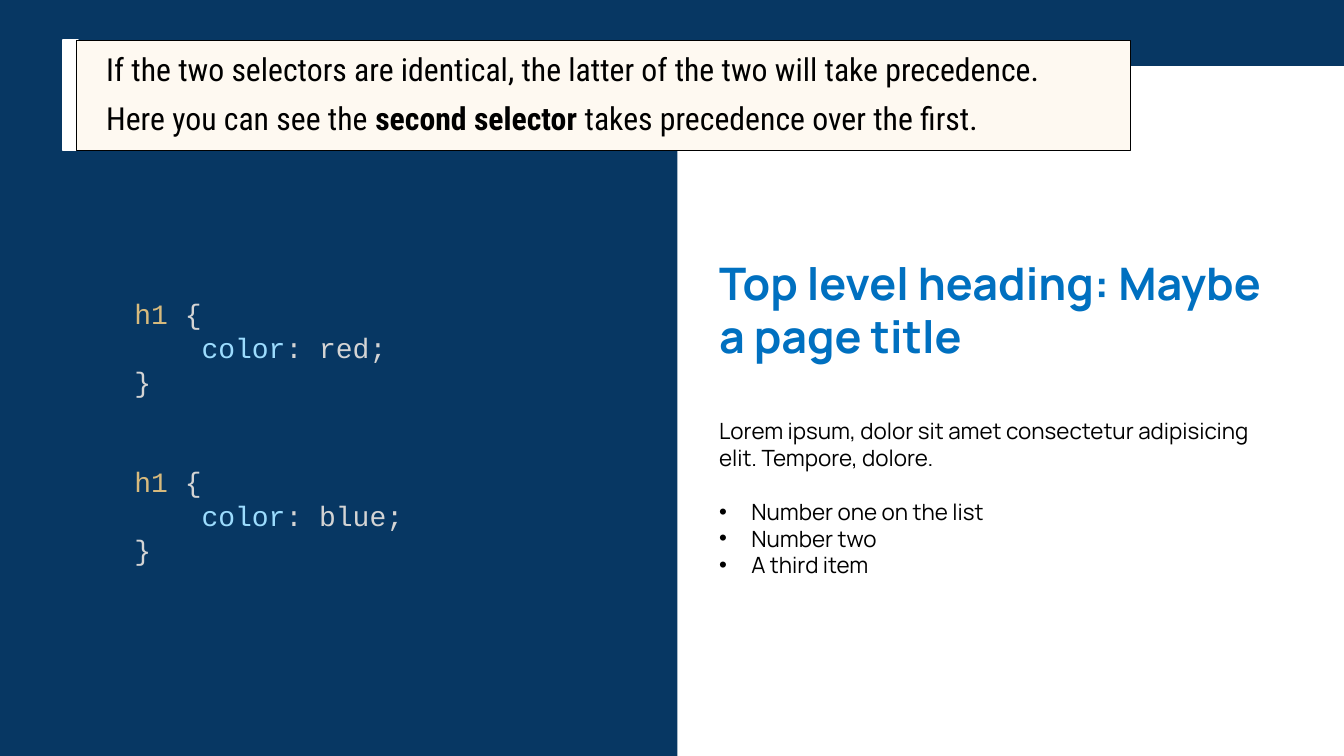
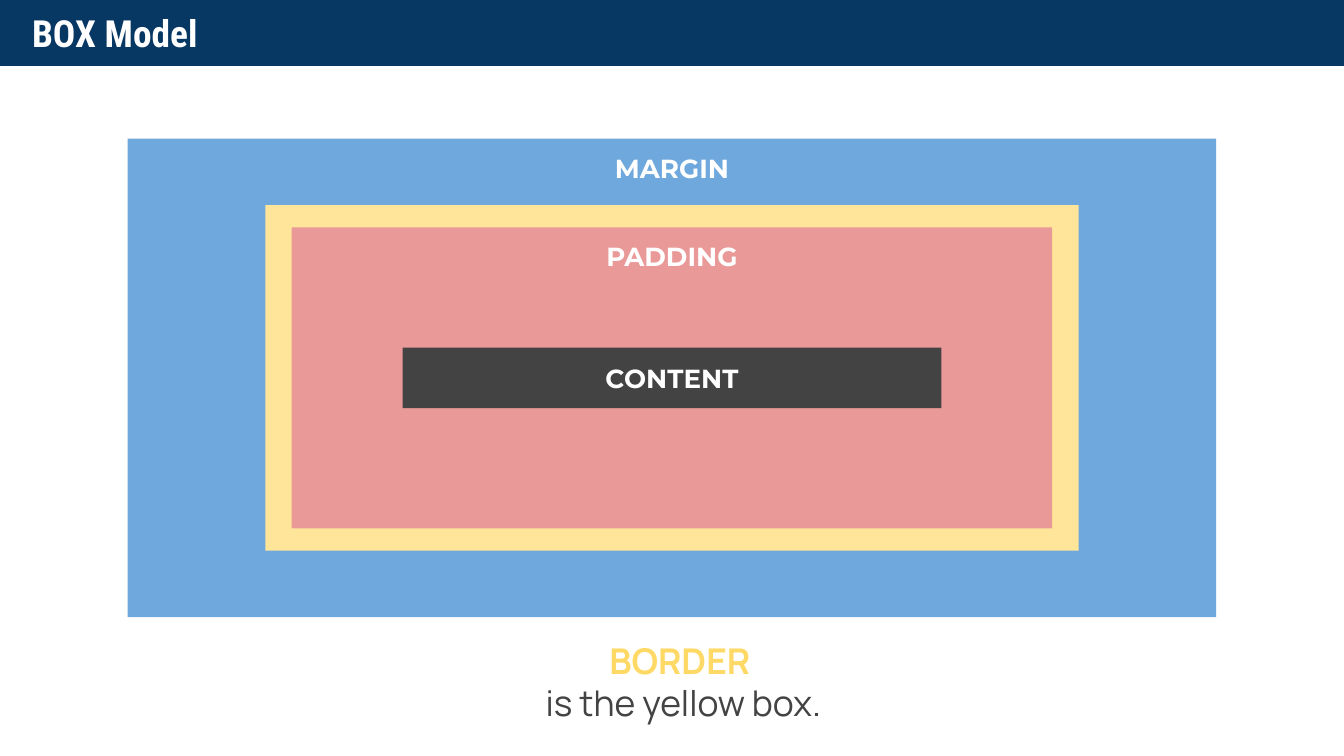
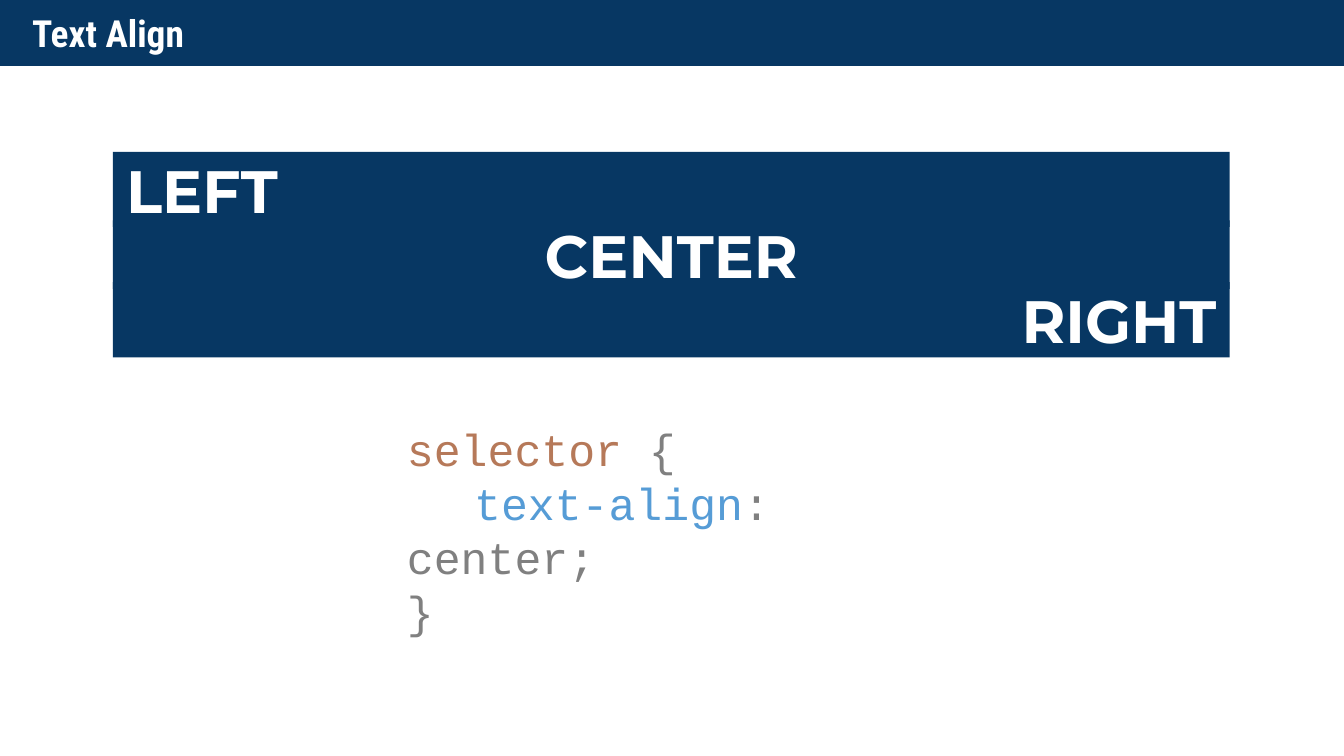
"""Build three CSS lesson slides: selector precedence, the box model and text alignment."""
from dataclasses import dataclass

import pptx
import pptx.dml.color
import pptx.enum.shapes
import pptx.enum.text
import pptx.oxml.ns
import pptx.presentation
import pptx.shapes.autoshape
import pptx.slide
import pptx.util
from lxml import etree
from pptx.util import Inches

COLORS = {
    "navy": "073763", "white": "FFFFFF", "black": "000000", "cream": "FEF9F1",
    "gold": "D7BA7D", "silver": "D4D4D4", "sky": "9CDCFE", "heading": "0070C0",
    "margin": "6FA8DC", "border": "FFE599", "padding": "EA9999", "content": "434343",
    "amber": "FFD966", "rust": "B67959", "gray": "808080", "azure": "569CD6",
}
CODE, BODY, LABEL, TITLE = "Courier New", "Manrope", "Montserrat", "Roboto Condensed"
SLIDE_WIDTH = 10
SLIDE_HEIGHT = SLIDE_WIDTH * 9 / 16
BAND_HEIGHT = 0.49
WIDE_INSETS = (0.22, 0.22, 0.22, 0.22)
ALIGN = pptx.enum.text.PP_ALIGN
ANCHOR = pptx.enum.text.MSO_ANCHOR


@dataclass(frozen=True)
class Box:
    left: float
    top: float
    width: float
    height: float


@dataclass(frozen=True)
class Span:
    text: str
    color: str | None = None
    bold: bool | None = None


@dataclass(frozen=True)
class Line:
    spans: tuple[Span, ...]
    size: float | None = None
    before: float = 0
    bullet: bool = False
    indent: float = 0


@dataclass(frozen=True)
class Layer:
    width: float
    height: float
    color: str
    label: str = ""
    anchor: ANCHOR = ANCHOR.TOP


@dataclass(frozen=True)
class Bar:
    label: str
    height: float
    align: ALIGN


def rgb(color: str) -> pptx.dml.color.RGBColor:
    """Return the named colour."""
    return pptx.dml.color.RGBColor.from_string(COLORS[color])


def set_indent(paragraph, line: Line) -> None:
    """Apply the first-line indent or the hanging bullet of a line."""
    properties = paragraph._p.get_or_add_pPr()
    if line.indent:
        properties.set("marL", "0")
        properties.set("indent", str(Inches(line.indent)))
    if line.bullet:
        properties.set("marL", str(Inches(0.24)))
        properties.set("indent", str(-Inches(0.24)))
        qn = pptx.oxml.ns.qn
        bullet_color = etree.SubElement(properties, qn("a:buClr"))
        etree.SubElement(bullet_color, qn("a:srgbClr"), val=COLORS["black"])
        etree.SubElement(properties, qn("a:buFont"), typeface="Arial")
        etree.SubElement(properties, qn("a:buChar"), char="•")


def write(shape: pptx.shapes.autoshape.Shape, text: str | list[Line], *, font: str,
          size: float, color: str = "white", bold: bool = False,
          align: ALIGN = ALIGN.LEFT, anchor: ANCHOR = ANCHOR.TOP,
          insets: tuple[float, float, float, float] = (0.1, 0.1, 0.1, 0.1),
          spacing: float | pptx.util.Length | None = None) -> None:
    """Fill a shape with formatted lines of text."""
    frame = shape.text_frame
    frame.word_wrap = True
    frame.vertical_anchor = anchor
    (frame.margin_left, frame.margin_top,
     frame.margin_right, frame.margin_bottom) = map(Inches, insets)
    lines = [Line((Span(text),))] if isinstance(text, str) else text
    for number, line in enumerate(lines):
        paragraph = frame.add_paragraph() if number else frame.paragraphs[0]
        set_indent(paragraph, line)
        paragraph.alignment = align
        if spacing:
            paragraph.line_spacing = spacing
        if line.before:
            paragraph.space_before = pptx.util.Pt(line.before)
        for span in line.spans:
            run = paragraph.add_run()
            run.text = span.text
            run.font.name = font
            run.font.size = pptx.util.Pt(line.size or size)
            run.font.bold = bold if span.bold is None else span.bold
            run.font.color.rgb = rgb(span.color or color)


def add_text(slide: pptx.slide.Slide, box: Box, text: str | list[Line], **text_format) -> None:
    """Add a text box with formatted text."""
    area = slide.shapes.add_textbox(
        Inches(box.left), Inches(box.top), Inches(box.width), Inches(box.height))
    write(area, text, **text_format)


def add_panel(slide: pptx.slide.Slide, box: Box, fill: str, outline: str | None = None,
              weight: float = 1) -> pptx.shapes.autoshape.Shape:
    """Add a filled rectangle."""
    panel = slide.shapes.add_shape(
        pptx.enum.shapes.MSO_SHAPE.RECTANGLE,
        Inches(box.left), Inches(box.top), Inches(box.width), Inches(box.height))
    panel.shadow.inherit = False
    panel.fill.solid()
    panel.fill.fore_color.rgb = rgb(fill)
    if outline:
        panel.line.color.rgb = rgb(outline)
        panel.line.width = pptx.util.Pt(weight)
    else:
        panel.line.fill.background()
    return panel


def start_slide(deck: pptx.presentation.Presentation, title: str = "") -> pptx.slide.Slide:
    """Add a blank slide with the top band and its title."""
    slide = deck.slides.add_slide(deck.slide_layouts[6])
    add_panel(slide, Box(0, 0, SLIDE_WIDTH, BAND_HEIGHT), "navy")
    if title:
        add_text(slide, Box(0.14, 0, 9.54, BAND_HEIGHT), title,
                 font=TITLE, size=20, bold=True, anchor=ANCHOR.MIDDLE)
    return slide


def css_rule(value: str, before: float = 0) -> list[Line]:
    """Return the code lines of an h1 rule that sets a colour."""
    return [
        Line((Span("h1", "gold"), Span(" {")), before=before),
        Line((Span("    "), Span("color", "sky"), Span(f": {value};"))),
        Line((Span("}"),)),
    ]


def build_precedence(deck: pptx.presentation.Presentation) -> None:
    """Build the slide on identical selectors."""
    slide = start_slide(deck)
    add_panel(slide, Box(0, 0, 5.04, SLIDE_HEIGHT), "navy")
    add_text(slide, Box(0.78, 1.99, 4.22, 2.47), css_rule("red") + css_rule("blue", before=36),
             font=CODE, size=15, color="silver", insets=WIDE_INSETS,
             spacing=pptx.util.Pt(18))
    items = ("Number one on the list", "Number two", "A third item")
    page = [
        Line((Span("Top level heading: Maybe a page title", "heading", True),), size=24),
        Line((Span("Lorem ipsum, dolor sit amet consectetur adipisicing elit. "
                   "Tempore, dolore."),), before=29),
        *(Line((Span(item),), before=0 if number else 14.5, bullet=True)
          for number, item in enumerate(items)),
    ]
    add_text(slide, Box(5.13, 1.68, 4.69, 3.08), page,
             font=BODY, size=12, color="black", insets=WIDE_INSETS)
    add_panel(slide, Box(0.47, 0.3, 0.11, 0.82), "white", "white")
    callout = add_panel(slide, Box(0.57, 0.3, 7.84, 0.82), "cream", "black", 0.75)
    message = [
        Line((Span("If the two selectors are identical, the latter of the two "
                   "will take precedence."),)),
        Line((Span("Here you can see the "), Span("second selector", bold=True),
              Span(" takes precedence over the first.")), before=8),
    ]
    write(callout, message, font=TITLE, size=17, color="black", anchor=ANCHOR.MIDDLE,
          insets=(0.22, 0.04, 0.07, 0.04), spacing=0.9)


def build_box_model(deck: pptx.presentation.Presentation) -> None:
    """Build the slide with the nested layers of the box model."""
    slide = start_slide(deck, "BOX Model")
    layers = (
        Layer(8.1, 3.56, "margin", "MARGIN"),
        Layer(6.05, 2.57, "border"),
        Layer(5.66, 2.24, "padding", "PADDING"),
        Layer(4.01, 0.45, "content", "CONTENT", ANCHOR.MIDDLE),
    )
    for layer in layers:
        box = Box((SLIDE_WIDTH - layer.width) / 2, (SLIDE_HEIGHT - layer.height) / 2,
                  layer.width, layer.height)
        panel = add_panel(slide, box, layer.color)
        if layer.label:
            write(panel, layer.label, font=LABEL, size=14, bold=True,
                  align=ALIGN.CENTER, anchor=layer.anchor)
    caption = [Line((Span("BORDER ", "amber", True),)), Line((Span("is the yellow box."),))]
    add_text(slide, Box(3.65, 4.72, 2.87, 0.7), caption, font=BODY, size=19,
             color="content", align=ALIGN.CENTER, anchor=ANCHOR.MIDDLE)


def build_text_align(deck: pptx.presentation.Presentation) -> None:
    """Build the slide on the values of text-align."""
    slide = start_slide(deck, "Text Align")
    bars = (
        Bar("LEFT", 0.56, ALIGN.LEFT),
        Bar("CENTER", 0.51, ALIGN.CENTER),
        Bar("RIGHT", 0.56, ALIGN.RIGHT),
    )
    top, overlap = 1.13, 0.05
    for bar in bars:
        panel = add_panel(slide, Box(0.84, top, 8.31, bar.height), "navy")
        write(panel, bar.label, font=LABEL, size=32, bold=True,
              align=bar.align, anchor=ANCHOR.MIDDLE)
        top += bar.height - overlap
    rule = [
        Line((Span("selector ", "rust"), Span("{"))),
        Line((Span("text-align", "azure"), Span(": center;")), indent=0.5),
        Line((Span("}"),)),
    ]
    add_text(slide, Box(2.93, 3.04, 4.44, 1.45), rule, font=CODE, size=24, color="gray",
             spacing=pptx.util.Pt(28.8))


def main() -> None:
    """Build and save the deck."""
    deck = pptx.Presentation()
    deck.slide_width = Inches(SLIDE_WIDTH)
    deck.slide_height = Inches(SLIDE_HEIGHT)
    build_precedence(deck)
    build_box_model(deck)
    build_text_align(deck)
    deck.save("out.pptx")


if __name__ == "__main__":
    main()
